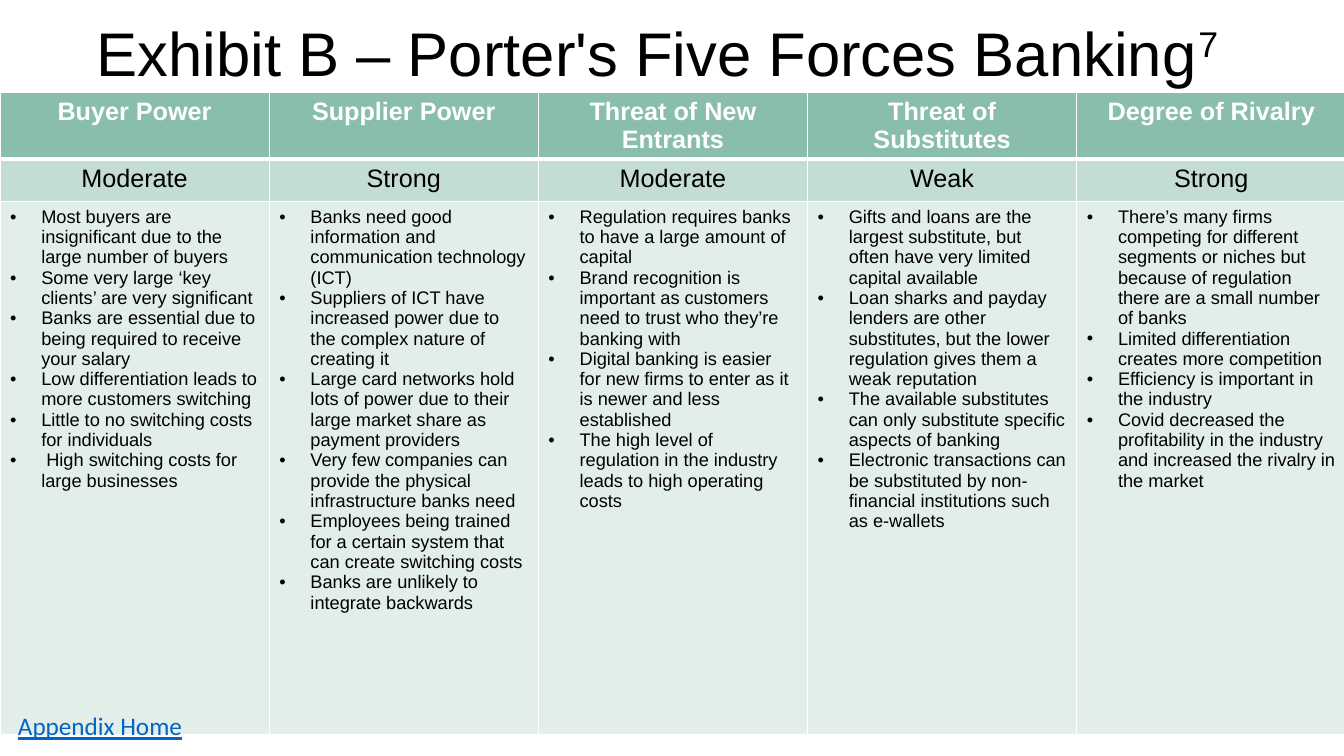
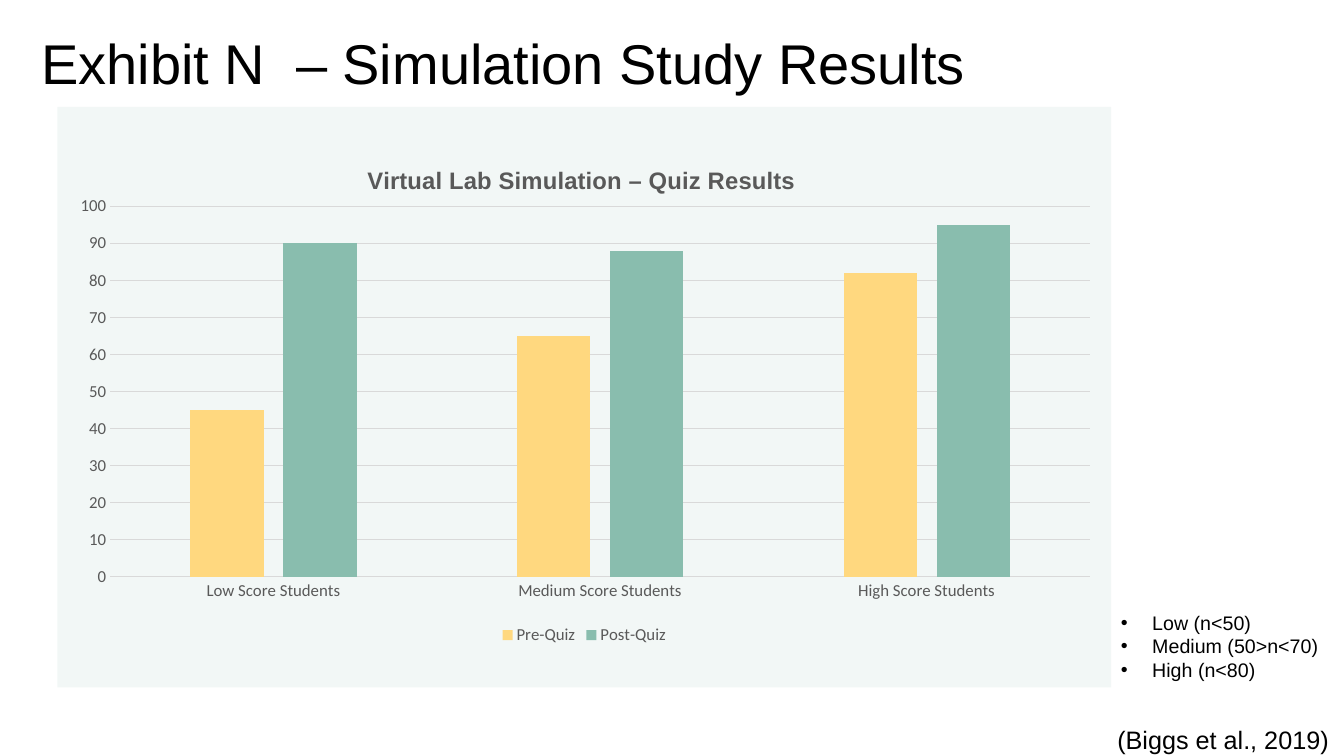
from lxml.etree import SubElement
from pptx import Presentation
from pptx.chart.data import CategoryChartData
from pptx.dml.color import RGBColor
from pptx.enum.chart import XL_CHART_TYPE, XL_LEGEND_POSITION, XL_TICK_MARK
from pptx.enum.shapes import MSO_SHAPE
from pptx.enum.text import PP_ALIGN
from pptx.oxml import parse_xml
from pptx.oxml.ns import nsdecls, qn
from pptx.util import Inches, Pt

COLOURS = {
    "text": "000000",
    "white": "FFFFFF",
    "green": "89BDAE",
    "yellow": "FFD87F",
    "link": "0563C1",
    "grey": "595959",
    "grid": "D9D9D9",
}
RGB = {name: RGBColor.from_string(value) for name, value in COLOURS.items()}
BULLET_INDENT = Inches(0.31)


def write(frame, lines, size, colour="text", font="Arial", bold=False,
          align=None, spacing=None, bullets=False):
    frame.word_wrap = True
    for index, line in enumerate(lines):
        paragraph = frame.add_paragraph() if index else frame.paragraphs[0]
        paragraph.add_run().text = line
        if align is not None:
            paragraph.alignment = align
        if spacing is not None:
            paragraph.line_spacing = spacing
        if bullets:
            properties = paragraph._p.get_or_add_pPr()
            properties.set("marL", str(BULLET_INDENT))
            properties.set("indent", str(-BULLET_INDENT))
            SubElement(properties, qn("a:buFont")).set("typeface", "Arial")
            SubElement(properties, qn("a:buChar")).set("char", "•")
        paragraph.font.name = font
        paragraph.font.size = Pt(size)
        paragraph.font.bold = bold
        paragraph.font.color.rgb = RGB[colour]
    return frame.paragraphs[0]


def fill_green(fill, properties, opacity):
    fill.solid()
    fill.fore_color.rgb = RGB["green"]
    if opacity < 100:
        colour = properties.find(".//" + qn("a:srgbClr"))
        SubElement(colour, qn("a:alpha")).set("val", str(opacity * 1000))


deck = Presentation()
deck.slide_width = Inches(13.33)
deck.slide_height = Inches(7.5)
blank = deck.slide_layouts[6]

forces = [
    ("Buyer Power", "Moderate", [
        "Most buyers are insignificant due to the large number of buyers",
        "Some very large ‘key clients’ are very significant",
        "Banks are essential due to being required to receive your salary",
        "Low differentiation leads to more customers switching",
        "Little to no switching costs for individuals",
        " High switching costs for large businesses",
    ]),
    ("Supplier Power", "Strong", [
        "Banks need good information and communication technology (ICT)",
        "Suppliers of ICT have increased power due to the complex nature of creating it",
        "Large card networks hold lots of power due to their large market share "
        "as payment providers",
        "Very few companies can provide the physical infrastructure banks need",
        "Employees being trained for a certain system that can create switching costs",
        "Banks are unlikely to integrate backwards",
    ]),
    ("Threat of New Entrants", "Moderate", [
        "Regulation requires banks to have a large amount of capital",
        "Brand recognition is important as customers need to trust who they’re banking with",
        "Digital banking is easier for new firms to enter as it is newer and less established",
        "The high level of regulation in the industry leads to high operating costs",
    ]),
    ("Threat of Substitutes", "Weak", [
        "Gifts and loans are the largest substitute, but often have very limited "
        "capital available",
        "Loan sharks and payday lenders are other substitutes, but the lower "
        "regulation gives them a weak reputation",
        "The available substitutes can only substitute specific aspects of banking",
        "Electronic transactions can be substituted by non-financial institutions "
        "such as e-wallets",
    ]),
    ("Degree of Rivalry", "Strong", [
        "There’s many firms competing for different segments or niches but because "
        "of regulation there are a small number of banks",
        "Limited differentiation creates more competition",
        "Efficiency is important in the industry",
        "Covid decreased the profitability in the industry and increased the rivalry "
        "in the market",
    ]),
]

page = deck.slides.add_slide(blank)
table = page.shapes.add_table(
    3, len(forces), Inches(0), Inches(0.92), Inches(13.35), Inches(6.36)).table
for row, height in zip(table.rows, (0.65, 0.42, 5.29)):
    row.height = Inches(height)
for column, (force, strength, reasons) in enumerate(forces):
    table.columns[column].width = Inches(2.67)
    write(table.cell(0, column).text_frame, [force], 18, "white", bold=True,
          align=PP_ALIGN.CENTER)
    write(table.cell(1, column).text_frame, [strength], 18, align=PP_ALIGN.CENTER)
    write(table.cell(2, column).text_frame, reasons, 13, bullets=True)
    for row, opacity in enumerate((100, 50, 25)):
        cell = table.cell(row, column)
        properties = cell._tc.get_or_add_tcPr()
        fill_green(cell.fill, properties, opacity)
        widths = {"L": 1, "R": 1, "T": 3 if row == 1 else 1, "B": 3 if row == 0 else 1}
        for position, (side, width) in enumerate(widths.items()):
            properties.insert(position, parse_xml(
                f'<a:ln{side} {nsdecls("a")} w="{Pt(width)}"><a:solidFill>'
                f'<a:srgbClr val="{COLOURS["white"]}"/></a:solidFill></a:ln{side}>'))

box = page.shapes.add_textbox(Inches(0.86), Inches(0.18), Inches(11.62), Inches(1.47))
title = write(box.text_frame, ["Exhibit B – Porter's Five Forces Banking"], 44, spacing=0.9)
span = title.add_run()
span.text = "7"
span._r.get_or_add_rPr().set("baseline", "30000")
box = page.shapes.add_textbox(Inches(0.08), Inches(7), Inches(1.94), Inches(0.4))
write(box.text_frame, ["Appendix Home"], 18, "link", "Calibri").font.underline = True

page = deck.slides.add_slide(blank)
box = page.shapes.add_textbox(Inches(0.31), Inches(0.23), Inches(12.6), Inches(0.77))
write(box.text_frame, ["Exhibit N  – Simulation Study Results"], 40)

panel = page.shapes.add_shape(
    MSO_SHAPE.RECTANGLE, Inches(0.57), Inches(1.06), Inches(10.45), Inches(5.76))
panel.shadow.inherit = False
fill_green(panel.fill, panel._element.spPr, 11)
panel.line.fill.background()

scores = CategoryChartData()
scores.categories = ["Low Score Students", "Medium Score Students", "High Score Students"]
scores.add_series("Pre-Quiz", (45, 65, 82))
scores.add_series("Post-Quiz", (90, 88, 95))
chart = page.shapes.add_chart(
    XL_CHART_TYPE.COLUMN_CLUSTERED, Inches(0.57), Inches(1.33),
    Inches(10.45), Inches(5.11), scores).chart
chart.font.name = "Calibri"
chart.font.size = Pt(12)
chart.font.color.rgb = RGB["grey"]
chart.has_title = True
write(chart.chart_title.text_frame, ["Virtual Lab Simulation – Quiz Results"], 17, "grey",
      bold=True)
chart.has_legend = True
chart.legend.position = XL_LEGEND_POSITION.BOTTOM
chart.legend.include_in_layout = False

plot = chart.plots[0]
plot.gap_width = 219
plot.overlap = -27
plot.vary_by_categories = False
for series, colour in zip(plot.series, ("yellow", "green")):
    series.format.fill.solid()
    series.format.fill.fore_color.rgb = RGB[colour]

value_axis = chart.value_axis
value_axis.minimum_scale = 0
value_axis.maximum_scale = 100
value_axis.major_unit = 10
value_axis.format.line.fill.background()
for axis in (chart.category_axis, value_axis):
    axis.major_tick_mark = XL_TICK_MARK.NONE
for line in (chart.category_axis.format.line, value_axis.major_gridlines.format.line):
    line.color.rgb = RGB["grid"]
    line.width = Pt(0.75)

layouts = {
    "c:title": {"x": 0.29, "y": 0.05},
    "c:plotArea": {"x": 0.05, "y": 0.14, "w": 0.93, "h": 0.72},
}
for tag, places in layouts.items():
    part = chart._chartSpace.chart.find(qn(tag))
    layout = part.find(qn("c:layout"))
    if layout is None:
        layout = parse_xml(f'<c:layout {nsdecls("c")}/>')
        part.insert(0, layout)
    manual = SubElement(layout, qn("c:manualLayout"))
    if tag == "c:plotArea":
        SubElement(manual, qn("c:layoutTarget")).set("val", "inner")
    for axis_name in ("x", "y"):
        SubElement(manual, qn(f"c:{axis_name}Mode")).set("val", "edge")
    for name, value in places.items():
        SubElement(manual, qn(f"c:{name}")).set("val", str(value))

box = page.shapes.add_textbox(Inches(11.02), Inches(6.01), Inches(2.93), Inches(0.81))
write(box.text_frame, ["Low (n<50)", "Medium (50>n<70)", "High (n<80)"], 14, bullets=True)
box = page.shapes.add_textbox(Inches(8.67), Inches(6.99), Inches(6.92), Inches(0.51))
write(box.text_frame, ["(Biggs et al., 2019)"], 18, align=PP_ALIGN.CENTER, spacing=1.5)

deck.save("out.pptx")
